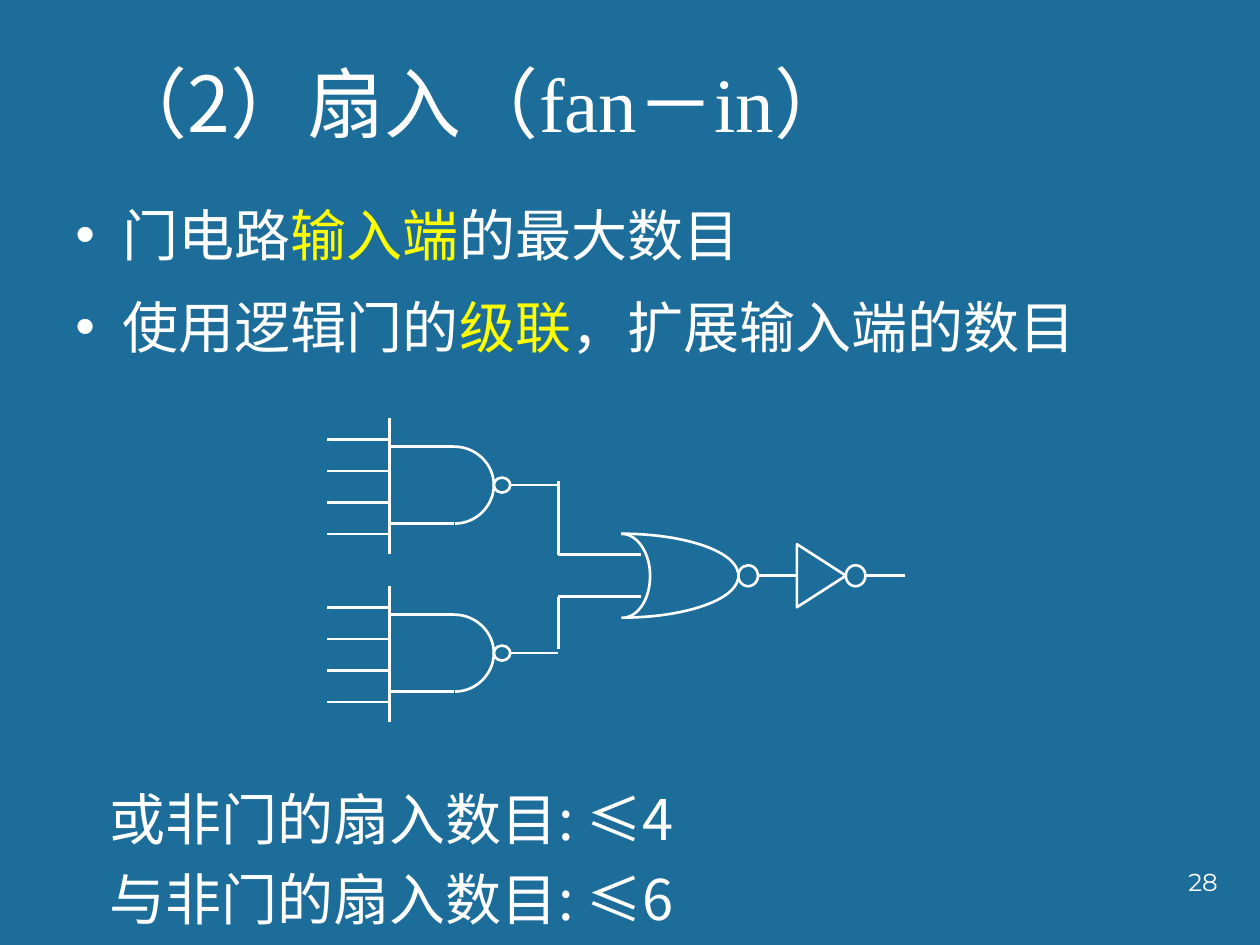
import pptx
import pptx.util
import pptx.dml.color
import pptx.enum.shapes
import pptx.enum.text
import pptx.oxml.ns
from lxml import etree

Pt = pptx.util.Pt
MSO = pptx.enum.shapes.MSO_SHAPE
ANCHOR = pptx.enum.text.MSO_ANCHOR
ALIGN = pptx.enum.text.PP_ALIGN
qn = pptx.oxml.ns.qn

HUES = {"back": "1C6D9A", "white": "FFFFFF", "mark": "FFFF00"}
HAN, LATIN, NUM = "Noto Sans CJK SC", "Times New Roman", "Montserrat"


def hue(name):
    return pptx.dml.color.RGBColor.from_string(HUES[name])


# Text
def add_box(slide, x, y, w, h, anchor=ANCHOR.TOP):
    frame = slide.shapes.add_textbox(Pt(x), Pt(y), Pt(w), Pt(h)).text_frame
    frame.word_wrap = True
    frame.vertical_anchor = anchor
    return frame


def add_para(frame, runs, size, pitch=None, gap=0, indent=0, bullet=False):
    """Each run is (text, colour, font)."""
    first = not frame.paragraphs[0].runs
    para = frame.paragraphs[0] if first else frame.add_paragraph()
    props = para._p.get_or_add_pPr()
    if indent:
        props.set("marL", str(Pt(indent)))
        props.set("indent", str(-Pt(indent)))
    if bullet:
        etree.SubElement(props, qn("a:buFont")).set("typeface", "Arial")
        etree.SubElement(props, qn("a:buChar")).set("char", "•")
    if pitch:
        para.line_spacing = pitch
    if gap and not first:
        para.space_before = Pt(gap)
    for text, color, face in runs:
        run = para.add_run()
        run.text = text
        run.font.size = Pt(size)
        run.font.name = face
        run.font.color.rgb = hue(color)
        east = etree.SubElement(run._r.get_or_add_rPr(), qn("a:ea"))
        east.set("typeface", HAN)
    return para


# Circuit parts
def set_line(shape):
    shape.line.color.rgb = hue("white")
    shape.line.width = Pt(1.5)


def add_wire(art, x1, y1, x2, y2):
    wire = art.add_connector(pptx.enum.shapes.MSO_CONNECTOR.STRAIGHT,
                             Pt(x1), Pt(y1), Pt(x2), Pt(y2))
    set_line(wire)
    etree.SubElement(wire._element.spPr, qn("a:effectLst"))


def set_form(form):
    form.shadow.inherit = False
    form.fill.background()
    set_line(form)
    return form


def add_form(art, kind, x, y, w, h):
    """Outline shape centred on x, y."""
    return set_form(art.add_shape(kind, Pt(x - w / 2), Pt(y - h / 2),
                                  Pt(w), Pt(h)))


def add_curve(art, start, *knots):
    """Open chain of cubic curves: two controls and an end for each."""
    pen = art.build_freeform(start[0] * 100, start[1] * 100, scale=127)
    pen.add_line_segments([(x * 100, y * 100) for x, y in knots], close=False)
    curve = set_form(pen.convert_to_shape())
    # Join each three straight steps into one cubic step
    steps = list(curve._element.iter(qn("a:lnTo")))
    for i in range(0, len(steps), 3):
        cubic = etree.Element(qn("a:cubicBezTo"))
        steps[i].addprevious(cubic)
        for step in steps[i:i + 3]:
            cubic.append(step[0])
            step.getparent().remove(step)


def add_nand(art, mid):
    spine, neck, nose, half = 222.6, 259.3, 282.2, 22
    add_wire(art, spine, mid - 38.4, spine, mid + 39.6)
    for i in range(4):
        lead = mid - 26 + 18 * i
        add_wire(art, spine, lead, spine - 36, lead)
    for side in (-half, half):
        add_wire(art, neck, mid + side, spine, mid + side)
    add_curve(art, (neck, mid - half),
              (neck + 12.7, mid - half), (nose, mid - 12), (nose, mid),
              (nose, mid + 12), (neck + 12.7, mid + half),
              (neck + 0.7, mid + half))
    add_form(art, MSO.OVAL, nose + 4.7, mid, 9.4, 8.6)
    add_wire(art, nose + 9.4, mid, 319, mid)


def add_nor(art, mid):
    left, nose, half = 355, 421.8, 24
    add_curve(art, (left, mid - half),
              (left + 9.3, mid - half), (371.5, mid - 13), (371.5, mid),
              (371.5, mid + 12), (366, mid + 22), (left + 2.5, mid + half))
    for sign in (-1, 1):
        edge = mid + sign * half
        add_curve(art, (left, edge), (390.2, edge),
                  (419.8, mid + sign * 14.4), (nose, mid + sign * 1.5))
    add_form(art, MSO.OVAL, 427.5, mid, 11.2, 12)
    add_wire(art, 433, mid, 455, mid)


def add_not(art, mid):
    add_form(art, MSO.ISOSCELES_TRIANGLE, 469.4, mid, 36, 28).rotation = 90
    add_form(art, MSO.OVAL, 488.9, mid, 11.2, 12)
    add_wire(art, 494.5, mid, 517, mid)


def main():
    deck = pptx.Presentation()
    deck.slide_width, deck.slide_height = Pt(720), Pt(540)
    slide = deck.slides.add_slide(deck.slide_layouts[6])
    slide.background.fill.solid()
    slide.background.fill.fore_color.rgb = hue("back")

    # Title
    title = add_box(slide, 56.3, 28, 612, 60, ANCHOR.BOTTOM)
    add_para(title, [("（2）扇入（", "white", HAN), ("fan－in", "white", LATIN),
                     ("）", "white", HAN)], 44, indent=27)

    # Bullets
    body = add_box(slide, 36, 103.5, 666, 384)
    for start, key, rest in (("门电路", "输入端", "的最大数目"),
                             ("使用逻辑门的", "级联", "，扩展输入端的数目")):
        add_para(body, [(start, "white", HAN), (key, "mark", HAN),
                        (rest, "white", HAN)],
                 32, pitch=1.2, gap=6.4, indent=27, bullet=True)

    # Circuit: two NAND gates into a NOR gate and an inverter
    art = slide.shapes.add_group_shape().shapes
    mid, bend = 329, 319
    for gate, port, end in ((277.2, 317, 275), (373.2, 341, 371)):
        add_nand(art, gate)
        add_wire(art, bend, end, bend, port)
        add_wire(art, 366.5, port, bend, port)
    add_nor(art, mid)
    add_not(art, mid)

    # Limits
    note = add_box(slide, 55.5, 437, 598, 100)
    for text in ("或非门的扇入数目: ≤4", "与非门的扇入数目: ≤6"):
        add_para(note, [(text, "white", HAN)], 32, pitch=1.2)

    # Page number
    page = add_box(slide, 553, 492, 150, 36)
    add_para(page, [("28", "white", NUM)], 14).alignment = ALIGN.RIGHT

    deck.save("out.pptx")


if __name__ == "__main__":
    main()
